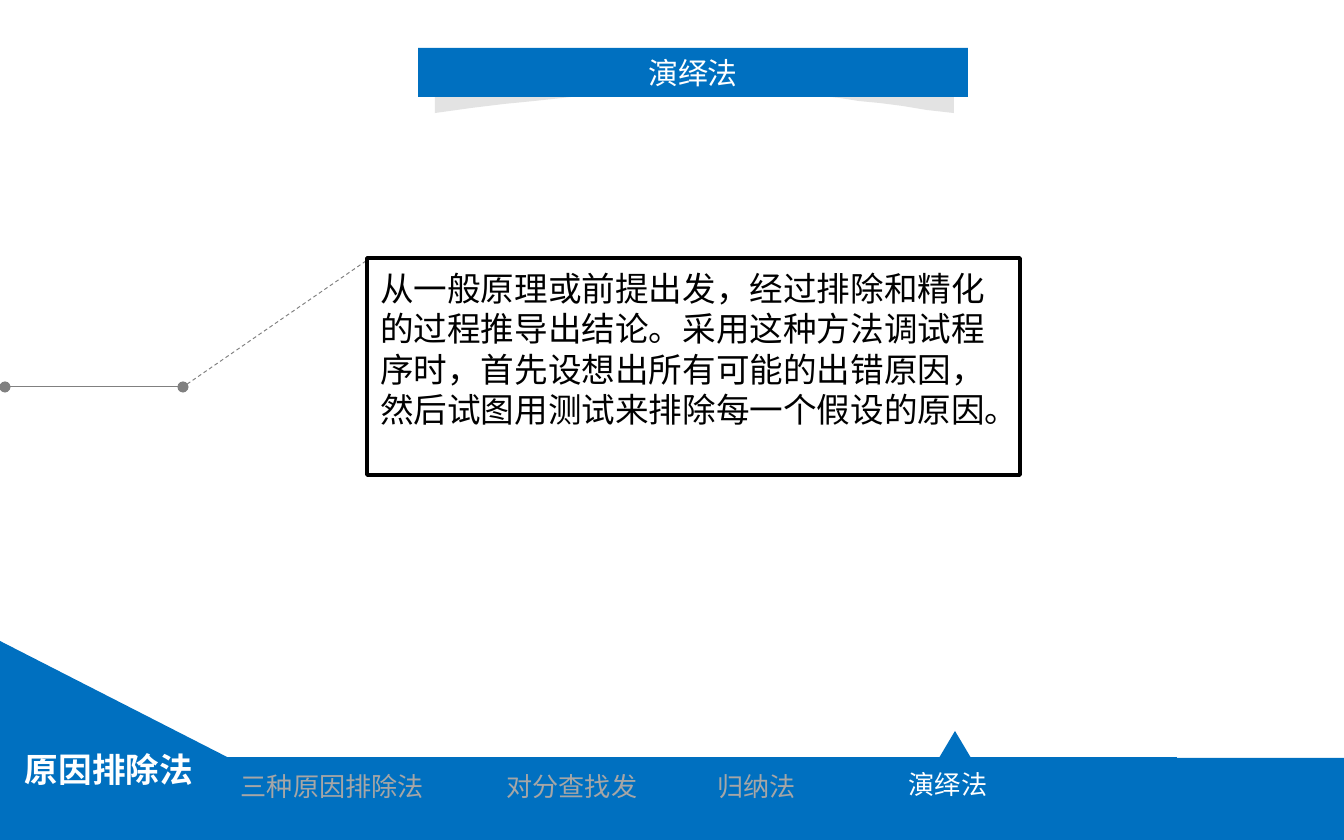
from lxml import etree
from pptx import Presentation
from pptx import util as u
from pptx.dml.color import RGBColor
from pptx.enum import dml, shapes, text
from pptx.oxml.ns import qn

EMU_PER_PX = 914400 / 134.4
BLUE, GREY, WHITE, BLACK, MUTED = "0070C0", "808080", "FFFFFF", "000000", "A6A6A6"
CJK, LATIN = "Noto Sans CJK SC", "Lato"

HEADING = "演绎法"
BODY = ("从一般原理或前提出发，经过排除和精化的过程推导出结论。"
        "采用这种方法调试程序时，首先设想出所有可能的出错原因，"
        "然后试图用测试来排除每一个假设的原因。")
CHAPTER = "原因排除法"
# label, left, top, width, colour
TABS = [
    ("三种原因排除法", 216, 763, 233, MUTED),
    ("对分查找发", 417, 763, 310, MUTED),
    ("归纳法", 598, 763, 317, MUTED),
    ("演绎法", 793, 761, 310, WHITE),
]
# preset, box, first adjustment
BLUE_SHAPES = [
    (shapes.MSO_SHAPE.RECTANGLE, (-4, 758, 1349, 117), None),
    (shapes.MSO_SHAPE.ISOSCELES_TRIANGLE, (-1, 641, 231, 119), 0),
    (shapes.MSO_SHAPE.ISOSCELES_TRIANGLE, (939, 731, 32, 27), 0.5),
]
# start, end, colour, width in points
EDGES = [
    ((-4, 640), (227, 758), BLUE, 1),
    ((226, 758), (1177, 758), BLUE, 1),
]
POINTER = ((5, 387), (183, 387), GREY, 0.5)
LEADER = ((366, 261), (183, 387), GREY, 0.5)
FOLD_TOP, FOLD_LEFT, FOLD_RIGHT = 74, 435, 954
FOLD_CURVE = [(954, 113), (732, 85), (735, 74), (435, 113)]


def px(*values):
    return [round(v * EMU_PER_PX) for v in values]


def rgb(value):
    return RGBColor.from_string(value)


def paint(shape, colour):
    shape.shadow.inherit = False
    shape.fill.solid()
    shape.fill.fore_color.rgb = rgb(colour)
    shape.line.fill.background()


def connect(start, end, colour, width):
    line = slide.shapes.add_connector(
        shapes.MSO_CONNECTOR.STRAIGHT, *px(*start, *end))
    line.line.color.rgb = rgb(colour)
    line.line.width = u.Pt(width)
    etree.SubElement(line._element.spPr, qn("a:effectLst"))
    return line


def place(shape, left, top, width, height):
    shape.left, shape.top, shape.width, shape.height = px(left, top, width, height)


def write(shape, words, size, colour, font=CJK, align=text.PP_ALIGN.LEFT,
          anchor=text.MSO_ANCHOR.TOP):
    frame = shape.text_frame
    frame.text = words
    frame.word_wrap = True
    frame.auto_size = text.MSO_AUTO_SIZE.NONE
    frame.vertical_anchor = anchor
    frame.margin_left, frame.margin_right = px(13, 13)
    frame.margin_top, frame.margin_bottom = px(7, 7)
    paragraph = frame.paragraphs[0]
    paragraph.alignment = align
    run = paragraph.runs[0]
    run.font.size = u.Pt(size)
    run.font.name = font
    run.font.color.rgb = rgb(colour)
    if font == CJK:
        etree.SubElement(run.font._element, qn("a:ea"), typeface=font)
    return paragraph


def bezier(points, steps=24):
    """Sample a cubic curve given by its four control points."""
    for i in range(steps + 1):
        t = i / steps
        weights = ((1 - t) ** 3, 3 * t * (1 - t) ** 2, 3 * t * t * (1 - t), t ** 3)
        yield tuple(sum(w * p[axis] for w, p in zip(weights, points))
                    for axis in (0, 1))


prs = Presentation()
prs.slide_width, prs.slide_height = px(1344, 840)
slide = prs.slides.add_slide(prs.slide_layouts[1])
heading, body = slide.placeholders

# Footer band with its tabs
for preset, box, adjustment in BLUE_SHAPES:
    shape = slide.shapes.add_shape(preset, *px(*box))
    paint(shape, BLUE)
    if adjustment is not None:
        shape.adjustments[0] = adjustment
for edge in EDGES:
    connect(*edge)
chapter = slide.shapes.add_textbox(*px(5, 722, 220, 74))
paragraph = write(chapter, CHAPTER, 18, WHITE)
paragraph.line_spacing, paragraph.space_before = u.Pt(32), u.Pt(6)
paragraph.runs[0].font.bold = True
chapter.text_frame.margin_left, = px(20)
for label, left, top, width, colour in TABS:
    tab = slide.shapes.add_textbox(*px(left, top, width, 46))
    write(tab, label, 14, colour, LATIN, text.PP_ALIGN.CENTER)

# Heading ribbon, in front of its folded shadow
builder = slide.shapes.build_freeform(FOLD_LEFT, FOLD_TOP, scale=EMU_PER_PX)
builder.add_line_segments([(FOLD_RIGHT, FOLD_TOP), *bezier(FOLD_CURVE)])
fold = builder.convert_to_shape()
paint(fold, "DDDDDD")
fold_colour = fold._element.spPr.find(qn("a:solidFill"))[0]
etree.SubElement(fold_colour, qn("a:alpha"), val="80000")

place(heading, 418, 48, 550, 49)
paint(heading, BLUE)
write(heading, HEADING, 16, WHITE, align=text.PP_ALIGN.CENTER,
      anchor=text.MSO_ANCHOR.MIDDLE)
slide.shapes._spTree.append(heading._element)

# Explanation box and the line leading to it
pointer = connect(*POINTER)
for end in ("a:headEnd", "a:tailEnd"):
    etree.SubElement(pointer.line._get_or_add_ln(), qn(end), type="oval")
connect(*LEADER).line.dash_style = dml.MSO_LINE.DASH

place(body, 367, 258, 653, 217)
paint(body, WHITE)
body.line.color.rgb = rgb(BLACK)
body.line.width = u.Pt(2)
paragraph = write(body, BODY, 18, BLACK)
paragraph.line_spacing, paragraph.space_before = u.Pt(21.6), u.Pt(0)
body.text_frame.margin_top, = px(10)
properties = paragraph._p.get_or_add_pPr()
properties.set("marL", "0")
properties.set("indent", "0")
etree.SubElement(properties, qn("a:buNone"))
slide.shapes._spTree.append(body._element)

prs.save("out.pptx")
